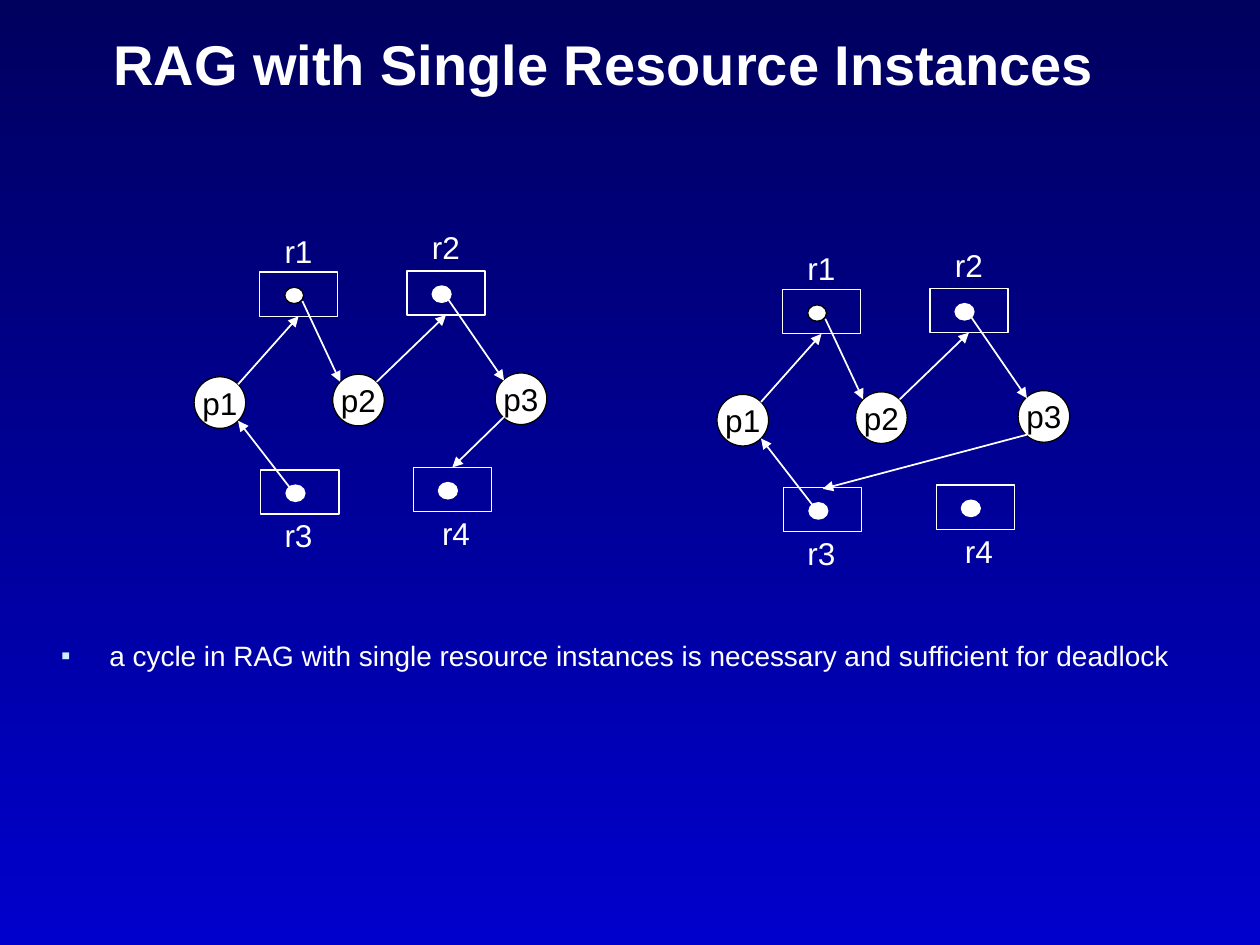
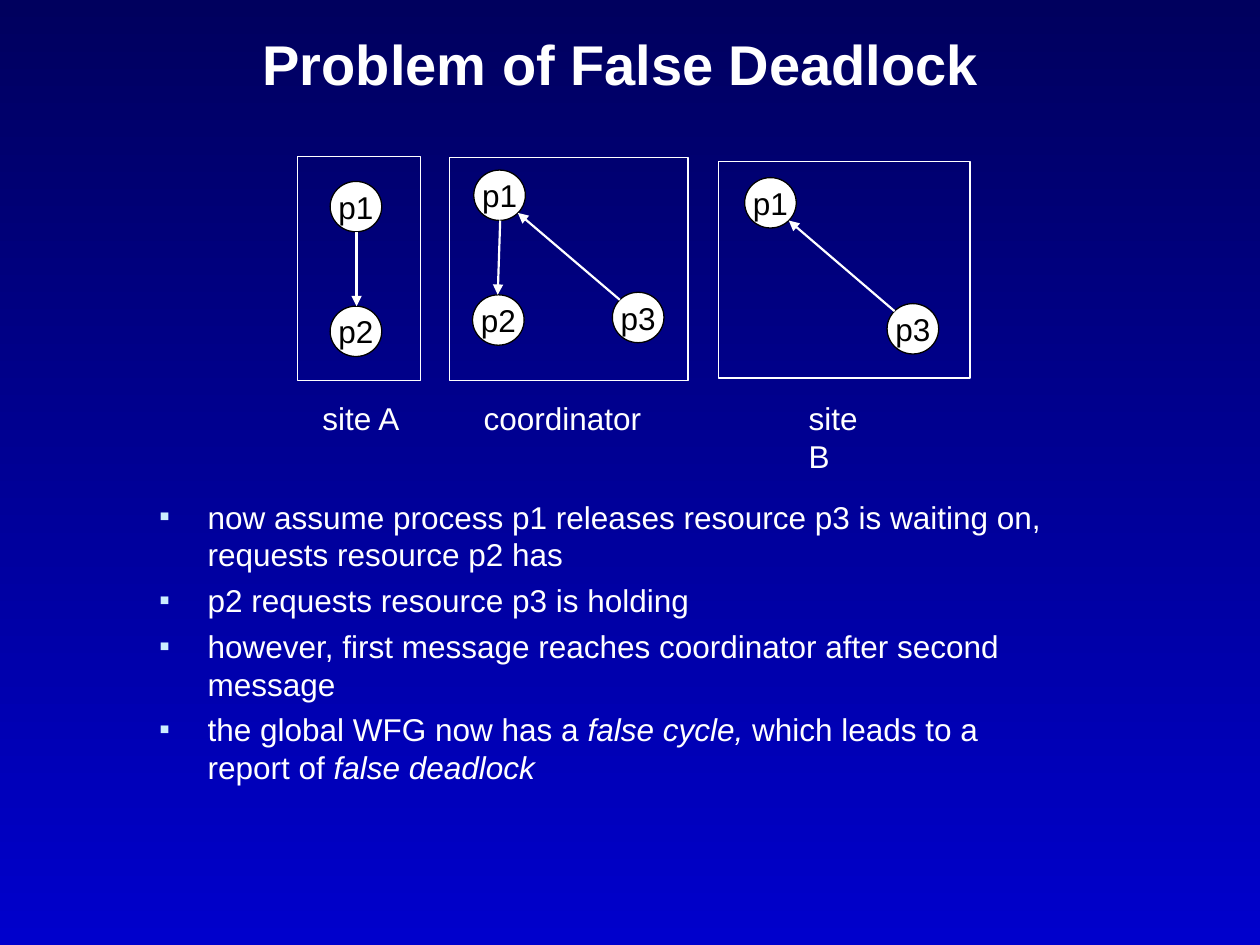
from lxml import etree
from pptx import Presentation
from pptx.dml.color import RGBColor
from pptx.enum.shapes import MSO_CONNECTOR, MSO_SHAPE
from pptx.enum.text import MSO_ANCHOR, MSO_AUTO_SIZE, PP_ALIGN
from pptx.oxml.ns import qn
from pptx.util import Pt

PX = 9144
FONT = "Arial"
COLORS = {
    "top": "00005E",
    "bottom": "0000CC",
    "white": "FFFFFF",
    "black": "000000",
    "bullet": "CCECFF",
}
STRAIGHT = MSO_CONNECTOR.STRAIGHT
RECTANGLE, OVAL = MSO_SHAPE.RECTANGLE, MSO_SHAPE.OVAL
MIDDLE, CENTER, LEFT = MSO_ANCHOR.MIDDLE, PP_ALIGN.CENTER, PP_ALIGN.LEFT
FIT_TEXT = MSO_AUTO_SIZE.SHAPE_TO_FIT_TEXT


def emu(*lengths):
    return [length * PX for length in lengths]


def rgb(name):
    return RGBColor.from_string(COLORS[name])


class Deck:
    def __init__(self):
        self.prs = Presentation()
        self.prs.slide_width, self.prs.slide_height = emu(1000, 750)

    def new_slide(self, title, left, width):
        self.slide = self.prs.slides.add_slide(self.prs.slide_layouts[6])
        self.shapes = self.slide.shapes
        backdrop = self.slide.background.fill
        backdrop.gradient()
        backdrop.gradient_angle = 270
        for stop, name in zip(backdrop.gradient_stops, ("top", "bottom")):
            stop.color.rgb = rgb(name)
        frame = self.shapes.add_textbox(*emu(left, 28, width, 58)).text_frame
        frame.word_wrap = True
        frame.vertical_anchor = MIDDLE
        heading = frame.paragraphs[0]
        heading.text = title
        heading.line_spacing = 0.7
        self.style(heading, 32, "white", CENTER, bold=True)

    def start_group(self):
        self.shapes = self.slide.shapes.add_group_shape().shapes

    def style(self, paragraph, size, color, align=LEFT, bold=False):
        paragraph.alignment = align
        for run in paragraph.runs:
            run.font.name = FONT
            run.font.size = Pt(size)
            run.font.bold = bold
            run.font.color.rgb = rgb(color)

    def outline(self, kind, left, top, width, height, line="white", fill=None):
        shape = self.shapes.add_shape(kind, *emu(left, top, width, height))
        shape.shadow.inherit = False
        shape.line.color.rgb = rgb(line)
        shape.line.width = Pt(0.75)
        if fill:
            shape.fill.solid()
            shape.fill.fore_color.rgb = rgb(fill)
        else:
            shape.fill.background()
        return shape

    def process(self, name, left, top, height=41):
        circle = self.outline(OVAL, left, top, 41, height, "black", "white")
        frame = circle.text_frame
        frame.word_wrap = False
        frame.vertical_anchor = MIDDLE
        frame.text = name
        self.style(frame.paragraphs[0], 18, "black", CENTER)

    def resource(self, left, top, dot_line):
        self.outline(RECTANGLE, left, top, 62, 35)
        self.outline(OVAL, left + 20, top + 12, 15, 13, dot_line, "white")

    def arrow(self, start, end, weight):
        line = self.shapes.add_connector(STRAIGHT, *emu(*start, *end))
        line.line.color.rgb = rgb("white")
        line.line.width = Pt(weight)
        properties = line.line._get_or_add_ln()
        etree.SubElement(properties, qn("a:tailEnd"), type="triangle")
        etree.SubElement(line._element.spPr, qn("a:effectLst"))

    def label(self, text, left, top, width=42):
        frame = self.shapes.add_textbox(*emu(left, top, width, 40)).text_frame
        frame.word_wrap = False
        frame.auto_size = FIT_TEXT
        frame.text = text
        self.style(frame.paragraphs[0], 18, "white")

    def bullets(self, items, box, size):
        frame = self.slide.shapes.add_textbox(*emu(*box)).text_frame
        frame.word_wrap = True
        for index, parts in enumerate(items):
            point = frame.add_paragraph() if index else frame.paragraphs[0]
            point.space_before = Pt(4.5 if index else 0)
            self.bullet(point)
            for position, part in enumerate(parts):
                run = point.add_run()
                run.text = part
                run.font.italic = position % 2 == 1
            self.style(point, size, "white")

    def bullet(self, paragraph):
        props = paragraph._p.get_or_add_pPr()
        props.set("marL", str(38 * PX))
        props.set("indent", str(-38 * PX))
        color = etree.SubElement(props, qn("a:buClr"))
        etree.SubElement(color, qn("a:srgbClr"), val=COLORS["bullet"])
        etree.SubElement(props, qn("a:buSzPct"), val="50000")
        etree.SubElement(props, qn("a:buFont"), typeface=FONT)
        etree.SubElement(props, qn("a:buChar"), char="■")


PROCESSES = {"p1": (154, 299), "p2": (264, 297), "p3": (393, 296)}
RESOURCES = {
    "r1": ((206, 216), (216, 179), "black"),
    "r2": ((323, 215), (333, 176), "white"),
    "r3": ((207, 373), (216, 405), "white"),
    "r4": ((328, 371), (341, 403), "white"),
}
SHARED_EDGES = [
    ((189, 305), (237, 251)),
    ((240, 239), (270, 303)),
    ((299, 303), (354, 250)),
    ((356, 238), (400, 302)),
    ((230, 387), (189, 334)),
]
P3_TO_R4 = ((400, 331), (359, 371))
P3_TO_R3 = ((400, 331), (238, 374))

SITES = [
    ("site A", (246, 82), (236, 124, 98, 178),
     {"p1": (262, 144), "p2": (262, 243)},
     [((283, 184), (283, 243))]),
    ("coordinator", (374, 145), (357, 125, 189, 177),
     {"p1": (376, 135), "p2": (375, 234), "p3": (486, 232)},
     [((492, 238), (411, 169)), ((397, 175), (395, 234))]),
    ("site B", (632, 82), (570, 128, 200, 172),
     {"p1": (591, 141), "p3": (704, 241)},
     [((710, 247), (626, 175))]),
]


def allocation_graph(deck, dx, dy, last_edge):
    def move(point):
        return point[0] + dx, point[1] + dy

    deck.start_group()
    for name, place in PROCESSES.items():
        deck.process(name, *move(place))
    for name, (place, label_place, dot_line) in RESOURCES.items():
        deck.resource(*move(place), dot_line)
        deck.label(name, *move(label_place))
    for start, end in SHARED_EDGES + [last_edge]:
        deck.arrow(move(start), move(end), 1)


def single_instances(deck):
    deck.new_slide("RAG with Single Resource Instances ", 44, 883)
    deck.bullets(
        [["a cycle in RAG with single resource instances is necessary "
          "and sufficient for deadlock"]],
        (39, 502, 926, 173), 16)
    allocation_graph(deck, 0, 0, P3_TO_R4)
    allocation_graph(deck, 415, 14, P3_TO_R3)


def false_deadlock(deck):
    deck.new_slide("Problem of False Deadlock ", 70, 858)
    deck.bullets(
        [["now assume process p1 releases resource p3 is waiting on, "
          "requests resource p2 has"],
         ["p2 requests resource p3 is holding"],
         ["however, first message reaches coordinator after second message"],
         ["the global WFG now has a ", "false cycle, ",
          "which leads to a report of ", "false deadlock"]],
        (117, 390, 726, 276), 18)
    deck.start_group()
    for site, (label_left, label_width), frame, processes, waits in SITES:
        deck.outline(RECTANGLE, *frame)
        for name, place in processes.items():
            deck.process(name, *place, height=40)
        for start, end in waits:
            deck.arrow(start, end, 1.25)
        deck.label(site, label_left, 312, label_width)


def main():
    deck = Deck()
    single_instances(deck)
    false_deadlock(deck)
    deck.prs.save("out.pptx")


if __name__ == "__main__":
    main()
